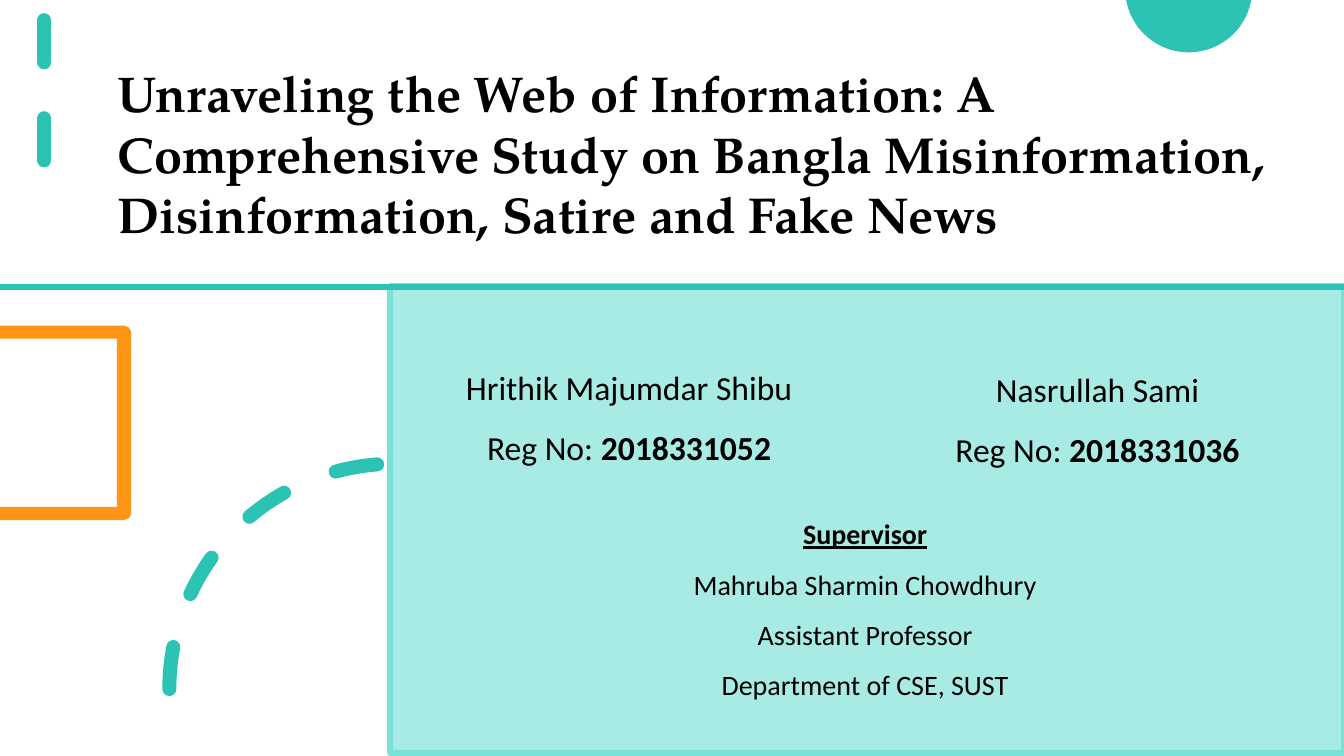
"""Build the thesis title slide with its authors and supervisor."""
from math import cos, radians, sin

from pptx import Presentation
from pptx.dml.color import RGBColor
from pptx.enum.dml import MSO_LINE as Dash
from pptx.enum.shapes import MSO_CONNECTOR as Link, MSO_SHAPE as Kind
from pptx.enum.text import MSO_ANCHOR as Anchor, PP_ALIGN as Align
from pptx.oxml.ns import qn
from pptx.oxml.xmlchemy import OxmlElement as Element
from pptx.util import Inches, Pt

TEAL = RGBColor(0x2C, 0xC3, 0xB4)
MINT = RGBColor(0xA7, 0xEB, 0xE4)
EDGE = RGBColor(0x7A, 0xE1, 0xD7)
ORANGE = RGBColor(0xFF, 0x95, 0x14)
BLACK = RGBColor(0, 0, 0)

deck = Presentation()
deck.slide_width, deck.slide_height = Inches(13.33), Inches(7.5)
slide = deck.slides.add_slide(deck.slide_layouts[6])
shapes = slide.shapes


def outline(points, color):
    """Draw a filled closed outline through points in inches."""
    spots = [(Inches(x), Inches(y)) for x, y in points]
    maker = shapes.build_freeform(*spots[0])
    maker.add_line_segments(spots[1:], close=True)
    shape = maker.convert_to_shape()
    shape.shadow.inherit = False
    shape.fill.solid()
    shape.fill.fore_color.rgb = color
    shape.line.fill.background()


def write(box, lines, size):
    """Add a centred text box; each line is a list of (text, bold, underline)."""
    frame = shapes.add_textbox(*map(Inches, box)).text_frame
    frame.word_wrap = True
    for i, runs in enumerate(lines):
        para = frame.paragraphs[0] if i == 0 else frame.add_paragraph()
        para.alignment, para.line_spacing = Align.CENTER, 1.5
        para.font.name, para.font.size = "Calibri", Pt(size)
        para.font.color.rgb = BLACK
        for text, bold, under in runs:
            run = para.add_run()
            run.text = text
            run.font.bold, run.font.underline = bold, under
    return frame


angles = [radians(a) for a in range(10, 171, 4)]
outline([(11.79 + 0.63 * cos(a), 0.63 * sin(a) - 0.11) for a in angles], TEAL)
outline([(0, 3.23), (1.23, 3.23), (1.28, 3.25), (1.3, 3.29), (1.3, 5.1),
         (1.28, 5.14), (1.23, 5.16), (0, 5.16), (0, 5.03), (1.16, 5.03),
         (1.16, 3.36), (0, 3.36)], ORANGE)

arc = shapes.add_shape(Kind.ARC, *map(Inches, (1.68, 4.6, 4.47, 4.47)))
arc.rotation = 270
arc.shadow.inherit = False
arc.fill.background()

panel = shapes.add_shape(Kind.RECTANGLE, *map(Inches, (3.87, 2.84, 9.46, 4.63)))
panel.shadow.inherit = False
panel.fill.solid()
panel.fill.fore_color.rgb = MINT
panel.line.color.rgb, panel.line.width = EDGE, Pt(4.5)

stripe = shapes.add_connector(Link.STRAIGHT, *map(Inches, (0.44, 0.2, 0.44, 1.95)))
rule = shapes.add_connector(Link.STRAIGHT, *map(Inches, (0, 2.85, 13.33, 2.85)))
for item, width in ((arc, 10), (stripe, 10), (rule, 4.5)):
    item.line.color.rgb, item.line.width = TEAL, Pt(width)
for item in (arc, stripe):
    item.line.dash_style = Dash.DASH
    item.element.spPr.find(qn("a:ln")).set("cap", "rnd")
for item in (stripe, rule):
    item.element.spPr.append(Element("a:effectLst"))

title = shapes.add_textbox(*map(Inches, (1.07, 0.56, 11.85, 1.92))).text_frame
title.word_wrap = True
title.vertical_anchor = Anchor.MIDDLE
head = title.paragraphs[0]
head.text = ("Unraveling the Web of Information: A Comprehensive Study on "
             "Bangla Misinformation, Disinformation, Satire and Fake News")
head.font.name, head.font.size, head.font.bold = "TeX Gyre Pagella", Pt(36), True
head.font.color.rgb = BLACK

for box, name, number in (
        ((3.82, 3.39, 4.84, 1.26), "Hrithik Majumdar Shibu", "2018331052"),
        ((8.55, 3.41, 4.67, 1.26), "Nasrullah Sami", "2018331036")):
    write(box, [[(name, False, False)],
                [("Reg No: ", False, False), (number, True, False)]], 24)

staff = ("Mahruba Sharmin Chowdhury", "Assistant Professor", "Department of CSE, SUST")
guide = write((3.87, 4.66, 9.42, 2.33),
              [[("Supervisor", True, True)]] + [[(s, False, False)] for s in staff], 20)
guide.margin_top = Inches(0.3)

deck.save("out.pptx")
